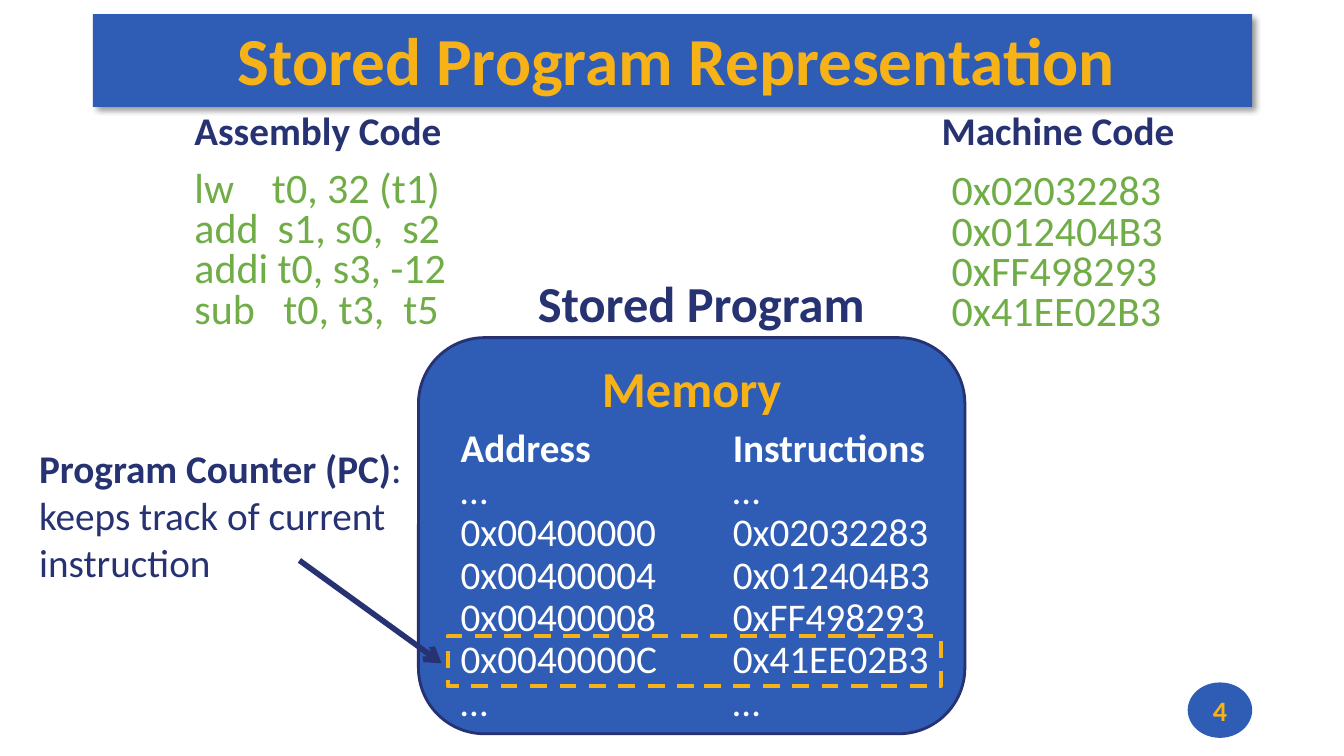
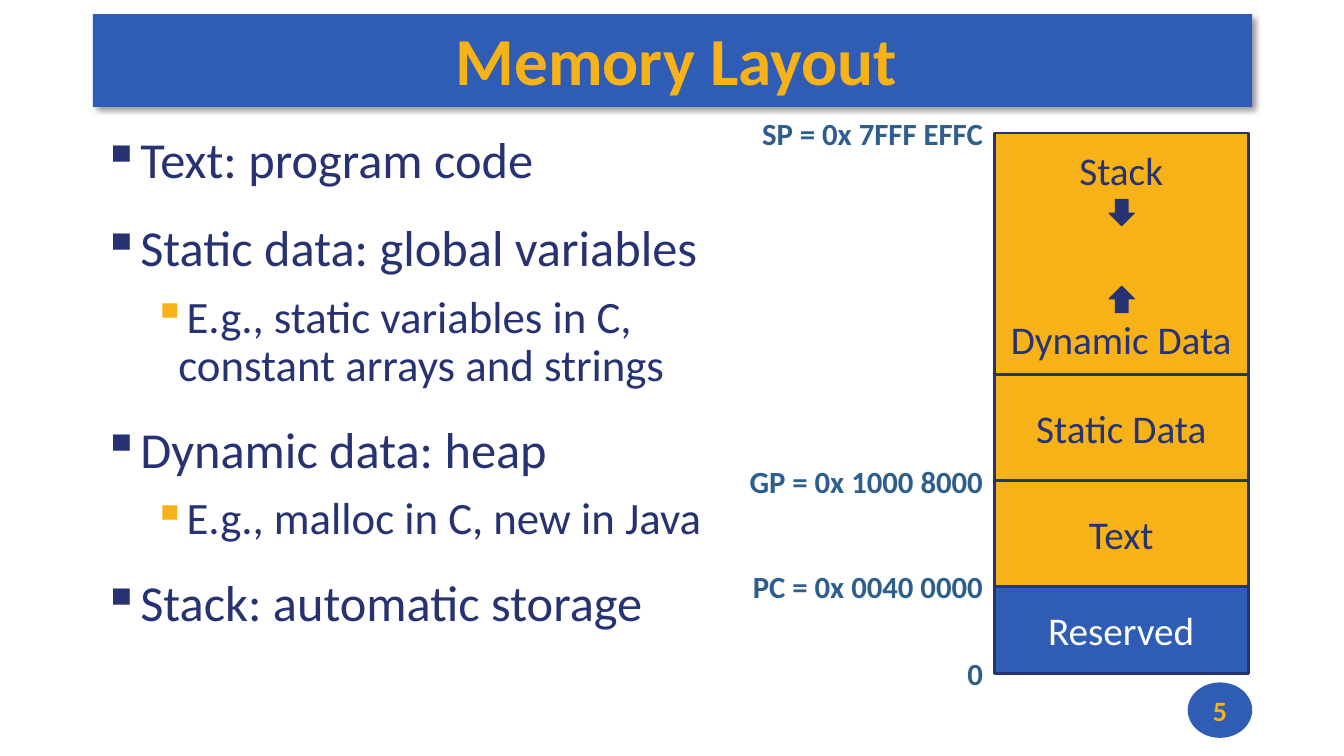
from dataclasses import dataclass

from lxml import etree
from pptx import Presentation
from pptx.dml.color import RGBColor
from pptx.enum.dml import MSO_LINE
from pptx.enum.shapes import MSO_CONNECTOR, MSO_SHAPE
from pptx.enum.text import MSO_ANCHOR, MSO_AUTO_SIZE, PP_ALIGN
from pptx.oxml.ns import qn
from pptx.presentation import Presentation as Deck
from pptx.shapes.autoshape import Shape
from pptx.slide import Slide
from pptx.text.text import TextFrame
from pptx.util import Inches, Pt

RECTANGLE = MSO_SHAPE.RECTANGLE
ROUNDED = MSO_SHAPE.ROUNDED_RECTANGLE
OVAL = MSO_SHAPE.OVAL
DOWN_ARROW = MSO_SHAPE.DOWN_ARROW
UP_ARROW = MSO_SHAPE.UP_ARROW
LEFT, CENTER, RIGHT = PP_ALIGN.LEFT, PP_ALIGN.CENTER, PP_ALIGN.RIGHT
TOP, MIDDLE = MSO_ANCHOR.TOP, MSO_ANCHOR.MIDDLE

FONT = "Calibri"
BLUE = "2F5CB5"
NAVY = "273272"
GOLD = "F7B217"
GREEN = "70AD47"
STEEL = "2E5E8E"
WHITE = "FFFFFF"
BLACK = "000000"
TITLE_ONLY = 5

Insets = tuple[float, float, float, float]
DEFAULT_INSETS: Insets = (0.1, 0.05, 0.1, 0.05)
NO_INSETS: Insets = (0, 0, 0, 0)


@dataclass(frozen=True)
class Box:
    left: float
    top: float
    width: float
    height: float

    def lengths(self) -> tuple[Inches, Inches, Inches, Inches]:
        return Inches(self.left), Inches(self.top), Inches(self.width), Inches(self.height)


@dataclass(frozen=True)
class Run:
    text: str
    size: float
    color: str
    bold: bool = False


@dataclass(frozen=True)
class Line:
    runs: tuple[Run, ...]
    align: PP_ALIGN = LEFT
    spacing: float = 1.0
    before: float = 0
    after: float = 0
    margin: float = 0
    indent: float = 0
    bullet: str = ""


@dataclass(frozen=True)
class Segment:
    height: float
    fill: str
    lines: tuple[Line, ...]
    address: str


def rgb(color: str) -> RGBColor:
    return RGBColor.from_string(color)


def line(text: str, size: float, color: str, bold: bool = False, **layout) -> Line:
    """Make a paragraph of a single run."""
    return Line((Run(text, size, color, bold),), **layout)


def add_bullet(properties: etree._Element, color: str) -> None:
    bullet_color = etree.SubElement(properties, qn("a:buClr"))
    etree.SubElement(bullet_color, qn("a:srgbClr"), val=color)
    etree.SubElement(properties, qn("a:buChar"), char="▪")


def write(frame: TextFrame, lines: tuple[Line, ...], anchor: MSO_ANCHOR = TOP,
          insets: Insets = DEFAULT_INSETS) -> None:
    frame.word_wrap = True
    frame.auto_size = MSO_AUTO_SIZE.NONE
    frame.vertical_anchor = anchor
    (frame.margin_left, frame.margin_top,
     frame.margin_right, frame.margin_bottom) = map(Inches, insets)
    for index, item in enumerate(lines):
        paragraph = frame.add_paragraph() if index else frame.paragraphs[0]
        paragraph.alignment = item.align
        paragraph.line_spacing = item.spacing
        paragraph.space_before = Pt(item.before)
        paragraph.space_after = Pt(item.after)
        properties = paragraph._p.get_or_add_pPr()
        properties.set("marL", str(Inches(item.margin)))
        properties.set("indent", str(Inches(item.indent)))
        if item.bullet:
            add_bullet(properties, item.bullet)
        for part in item.runs:
            run = paragraph.add_run()
            run.text = part.text
            run.font.name = FONT
            run.font.size = Pt(part.size)
            run.font.bold = part.bold
            run.font.color.rgb = rgb(part.color)


def add_text(slide: Slide, box: Box, lines: tuple[Line, ...], anchor: MSO_ANCHOR = TOP,
             insets: Insets = DEFAULT_INSETS) -> None:
    write(slide.shapes.add_textbox(*box.lengths()).text_frame, lines, anchor, insets)


def add_shape(slide: Slide, kind: MSO_SHAPE, box: Box, fill: str = "",
              outline: str = "", weight: float = 2) -> Shape:
    """Draw a flat preset shape; an empty colour means no fill or no outline."""
    shape = slide.shapes.add_shape(kind, *box.lengths())
    shape.shadow.inherit = False
    if fill:
        shape.fill.solid()
        shape.fill.fore_color.rgb = rgb(fill)
    else:
        shape.fill.background()
    if outline:
        shape.line.color.rgb = rgb(outline)
        shape.line.width = Pt(weight)
    else:
        shape.line.fill.background()
    return shape


def add_arrow(slide: Slide, start: tuple[float, float], end: tuple[float, float]) -> None:
    arrow = slide.shapes.add_connector(MSO_CONNECTOR.STRAIGHT, *map(Inches, start + end))
    arrow.line.color.rgb = rgb(NAVY)
    arrow.line.width = Pt(4)
    etree.SubElement(arrow.line._get_or_add_ln(), qn("a:tailEnd"), type="arrow")
    etree.SubElement(arrow._element.spPr, qn("a:effectLst"))


def format_title(title: Shape, text: str) -> None:
    """Turn the title placeholder into the shadowed band."""
    title.left, title.top, title.width, title.height = Box(0.92, 0.14, 11.5, 0.92).lengths()
    title.fill.solid()
    title.fill.fore_color.rgb = rgb(BLUE)
    effects = etree.SubElement(title._element.spPr, qn("a:effectLst"))
    shadow = etree.SubElement(effects, qn("a:outerShdw"), blurRad=str(Pt(4)), dist=str(Pt(3)),
                              dir="2700000", algn="tl", rotWithShape="0")
    shadow_color = etree.SubElement(shadow, qn("a:srgbClr"), val=BLACK)
    etree.SubElement(shadow_color, qn("a:alpha"), val="40000")
    write(title.text_frame, (line(text, 48, GOLD, True, align=CENTER, spacing=1.0),),
          MIDDLE, (0.08, 0.03, 0, 0.07))


def add_slide(presentation: Deck, title: str, number: int) -> Slide:
    slide = presentation.slides.add_slide(presentation.slide_layouts[TITLE_ONLY])
    format_title(slide.shapes.title, title)
    badge = add_shape(slide, OVAL, Box(11.78, 6.77, 0.64, 0.55), BLUE)
    write(badge.text_frame, (line(str(number), 20, GOLD, True, align=CENTER),),
          MIDDLE, NO_INSETS)
    return slide


def add_code(slide: Slide, box: Box, heading: str, code: tuple[str, ...],
             gap: float, margin: float) -> None:
    lines = [line(heading, 28, NAVY, True, spacing=0.9, after=gap)]
    lines += [line(text, 30, GREEN, spacing=0.8, margin=margin) for text in code]
    add_text(slide, box, tuple(lines))


def add_memory_column(slide: Slide, left: float, heading: str, words: tuple[str, ...]) -> None:
    lines = [line(heading, 28, WHITE, True, spacing=0.9)]
    lines += [line(text, 28, WHITE, spacing=0.9) for text in ("…", *words, "…")]
    add_text(slide, Box(left, 4.2, 2.36, 3.07), tuple(lines))


def build_stored_program(presentation: Deck) -> None:
    assembly = ("lw    t0, 32 (t1)", "add  s1, s0,  s2", "addi t0, s3, -12", "sub   t0, t3,  t5")
    machine = ("0x02032283", "0x012404B3", "0xFF498293", "0x41EE02B3")
    addresses = tuple(f"0x{0x400000 + 4 * index:08X}" for index in range(len(machine)))

    slide = add_slide(presentation, "Stored Program Representation", 4)
    add_code(slide, Box(1.83, 1.06, 3.21, 2.31), "Assembly Code", assembly, 12, 0)
    add_code(slide, Box(9.24, 1.06, 2.99, 2.34), "Machine Code", machine, 14, 0.1)

    memory = add_shape(slide, ROUNDED, Box(4.15, 3.35, 5.42, 3.93), BLUE, NAVY)
    write(memory.text_frame, (line("Memory", 36, GOLD, True, align=CENTER),),
          insets=(0.1, 0, 0.1, 0.05))
    add_text(slide, Box(5, 2.65, 3.91, 0.71),
             (line("Stored Program", 36, NAVY, True, align=CENTER),))
    add_memory_column(slide, 4.47, "Address", addresses)
    add_memory_column(slide, 7.17, "Instructions", machine)

    current = add_shape(slide, RECTANGLE, Box(4.44, 6.31, 4.89, 0.5), outline=GOLD, weight=3)
    current.line.dash_style = MSO_LINE.DASH
    add_arrow(slide, (2.97, 5.56), (4.38, 6.58))
    add_text(slide, Box(0.29, 4.36, 3.81, 1.51), (Line((
        Run("Program Counter (PC)", 28, NAVY, True),
        Run(": keeps track of current instruction", 28, NAVY))),))


def topic(text: str, before: float = 24) -> Line:
    return line(text, 36, NAVY, spacing=0.9, before=before,
                margin=0.25, indent=-0.25, bullet=NAVY)


def example(text: str) -> Line:
    return line(text, 32, NAVY, spacing=0.9, before=12,
                margin=0.75, indent=-0.25, bullet=GOLD)


def segment_label(text: str, color: str = NAVY, before: float = 0) -> Line:
    return line(text, 28, color, align=CENTER, before=before)


def add_address(slide: Slide, text: str, center: float) -> None:
    add_text(slide, Box(7.25, center - 0.3, 2.5, 0.6),
             (line(text, 22, STEEL, True, align=RIGHT),), MIDDLE, NO_INSETS)


def add_memory_map(slide: Slide, left: float, top: float, width: float,
                   segments: tuple[Segment, ...]) -> None:
    """Stack the segments downwards, each with the address of its lower edge."""
    for segment in segments:
        block = add_shape(slide, RECTANGLE, Box(left, top, width, segment.height),
                          segment.fill, NAVY)
        write(block.text_frame, segment.lines, MIDDLE)
        top += segment.height
        if segment.address:
            add_address(slide, segment.address, top)


def build_memory_layout(presentation: Deck) -> None:
    slide = add_slide(presentation, "Memory Layout", 5)
    add_text(slide, Box(0.92, 1.29, 6.75, 5.91), (
        topic("Text: program code", before=0),
        topic("Static data: global variables"),
        example("E.g., static variables in C, constant arrays and strings"),
        topic("Dynamic data: heap"),
        example("E.g., malloc in C, new in Java"),
        topic("Stack: automatic storage"),
    ))

    map_top = 1.32
    add_address(slide, "SP = 0x 7FFF EFFC", map_top)
    add_memory_map(slide, 9.86, map_top, 2.52, (
        Segment(2.4, GOLD, (segment_label("Stack"),
                            segment_label("Dynamic Data", before=87)), ""),
        Segment(1.05, GOLD, (segment_label("Static Data"),), "GP = 0x 1000 8000"),
        Segment(1.05, GOLD, (segment_label("Text"),), "PC = 0x 0040 0000"),
        Segment(0.86, BLUE, (segment_label("Reserved", WHITE),), "0"),
    ))
    for kind, top in ((DOWN_ARROW, 1.98), (UP_ARROW, 2.84)):
        add_shape(slide, kind, Box(11, top, 0.25, 0.26), NAVY, NAVY, 0.85)


def main() -> None:
    presentation = Presentation()
    presentation.slide_width = Inches(13.33)
    presentation.slide_height = Inches(7.5)
    build_stored_program(presentation)
    build_memory_layout(presentation)
    presentation.save("out.pptx")


if __name__ == "__main__":
    main()
